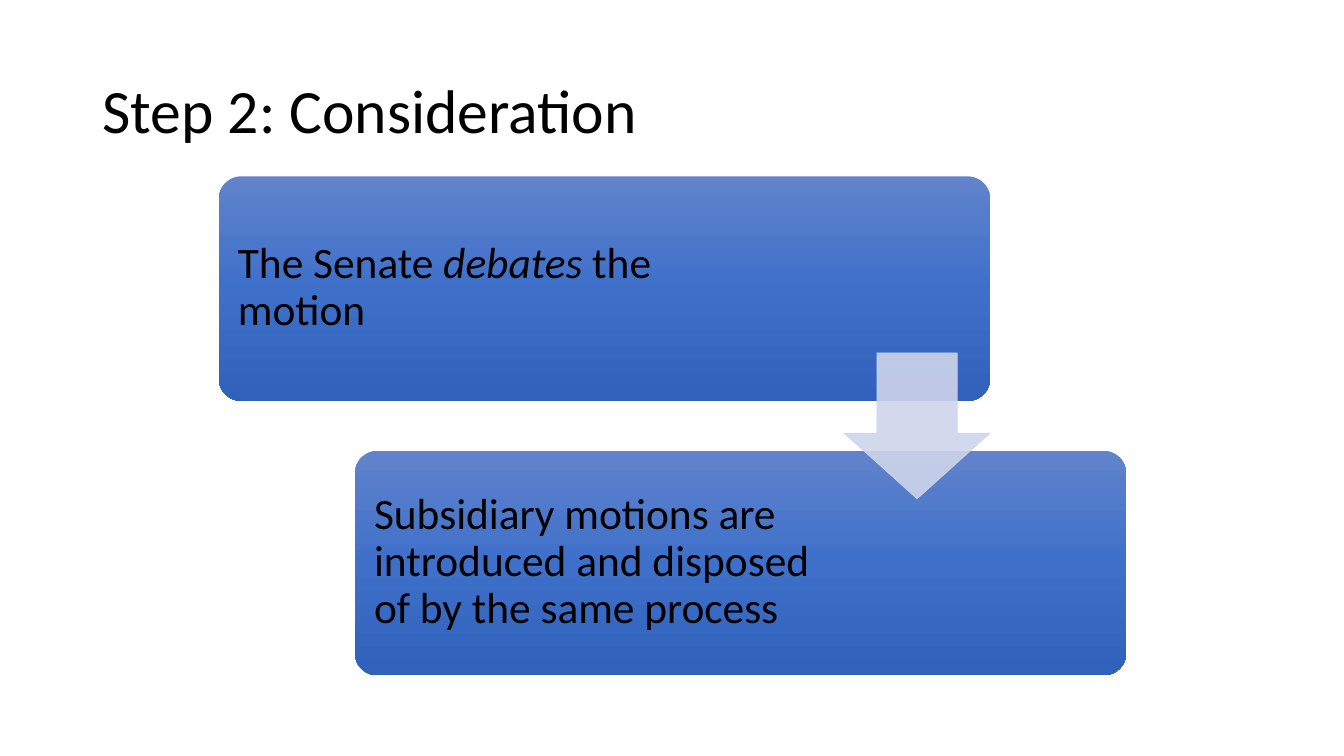
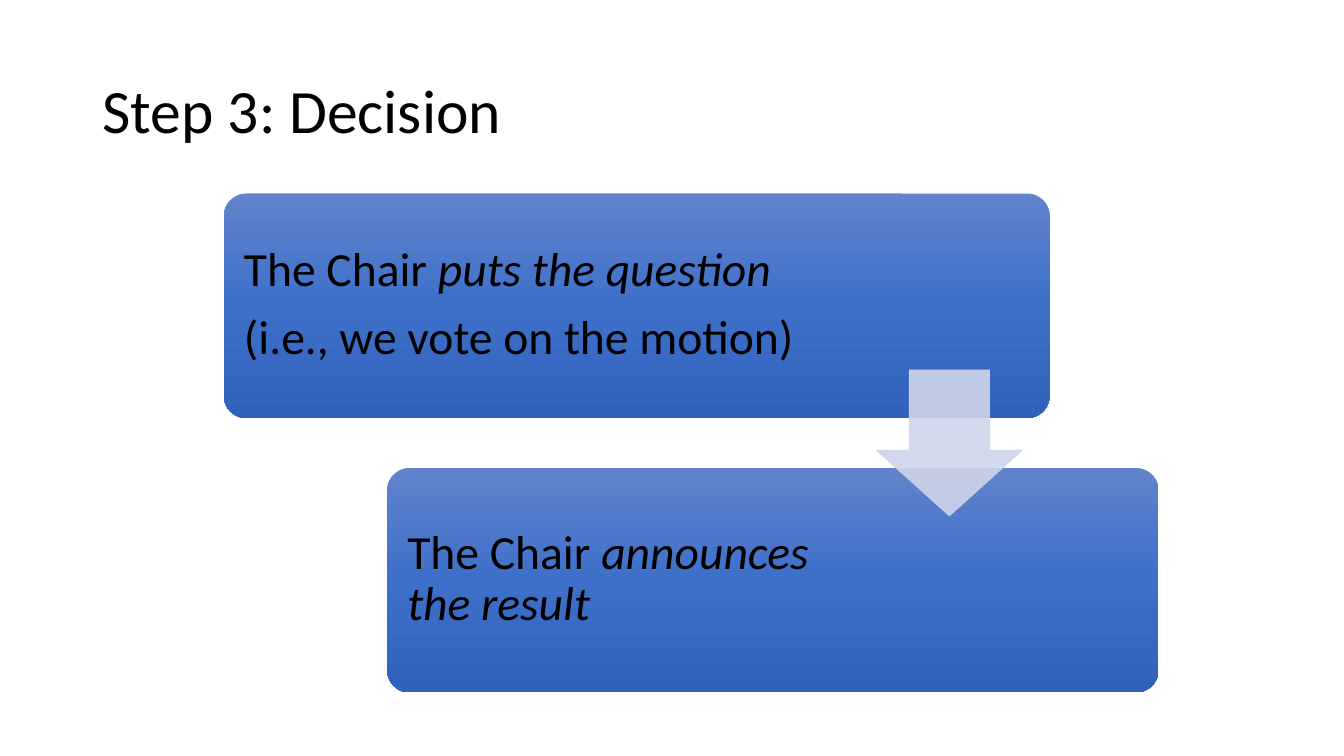
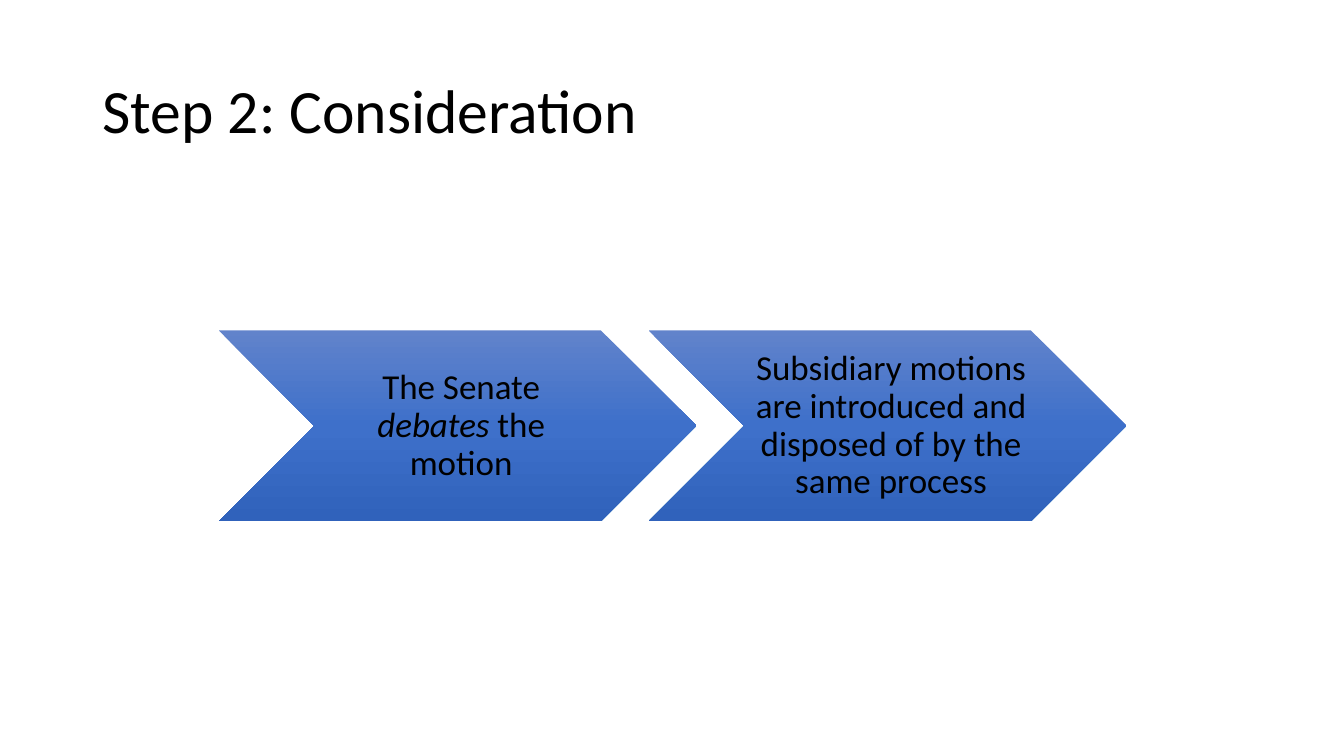
from copy import deepcopy
from dataclasses import dataclass

from pptx import Presentation
from pptx.dml.color import RGBColor
from pptx.enum.shapes import MSO_SHAPE
from pptx.enum.text import MSO_ANCHOR, PP_ALIGN
from pptx.oxml.ns import qn
from pptx.util import Inches, Pt

FONT = "Calibri"
BLACK = "000000"
ARROW_BLUE = "CFD5EA"
ARROW_ALPHA = "90000"
STEP_GRADIENT = [(0, "6183CB"), (0.5, "3E70CA"), (1, "3062BB")]
CHEVRON_INSETS = (0.11, 0.04, 0.04, 0.04)

DEBATE = [[("The Senate ", False), ("debates", True), (" the motion", False)]]
SUBSIDIARY = [[("Subsidiary motions are introduced and disposed of by the same process", False)]]
QUESTION = [
    [("The Chair ", False), ("puts the question", True)],
    [("(i.e., we vote on the motion)", False)],
]
RESULT = [[("The Chair ", False), ("announces the result", True)]]


@dataclass
class Box:
    left: float
    top: float
    width: float
    height: float

    def share(self, left, top, width, height):
        return Box(
            self.left + left * self.width,
            self.top + top * self.height,
            width * self.width,
            height * self.height,
        )

    def inches(self):
        return [Inches(value) for value in (self.left, self.top, self.width, self.height)]


TITLE_BOX = Box(0.92, 0.4, 11.5, 1.45)
CONSIDERATION_BOX = Box(2.17, 1.75, 9, 4.95)
DECISION_BOX = Box(2.49, 1.92, 9, 4.95)


def set_all(target, values):
    for name, value in values.items():
        setattr(target, name, value)


def colour(hex_string):
    return RGBColor.from_string(hex_string)


def add_text(page, box, paragraphs, size, insets, align=PP_ALIGN.LEFT, space_after=0.35):
    frame = page.shapes.add_textbox(*box.inches()).text_frame
    sides = ("margin_left", "margin_top", "margin_right", "margin_bottom")
    set_all(frame, {"word_wrap": True, "vertical_anchor": MSO_ANCHOR.MIDDLE})
    set_all(frame, {side: Inches(inset) for side, inset in zip(sides, insets)})
    para_format = {"alignment": align, "line_spacing": 0.9, "space_after": Pt(space_after * size)}
    for index, spans in enumerate(paragraphs):
        para = frame.add_paragraph() if index else frame.paragraphs[0]
        set_all(para, para_format)
        for text, italic in spans:
            span = para.add_run()
            span.text = text
            set_all(span.font, {"name": FONT, "size": Pt(size), "italic": italic})
            span.font.color.rgb = colour(BLACK)


def add_step_shape(page, kind, box):
    shape = page.shapes.add_shape(kind, *box.inches())
    shape.shadow.inherit = False
    shape.line.fill.background()
    shape.fill.gradient()
    shape.fill.gradient_angle = 270
    stop_list = shape._element.spPr.find(".//" + qn("a:gsLst"))
    stop_list.append(deepcopy(stop_list[0]))
    for stop, (position, hex_string) in zip(shape.fill.gradient_stops, STEP_GRADIENT):
        stop.position = position
        stop.color.rgb = colour(hex_string)
    return shape


def add_down_arrow(page, box):
    arrow = page.shapes.add_shape(MSO_SHAPE.DOWN_ARROW, *box.inches())
    arrow.shadow.inherit = False
    arrow.adjustments[0] = 0.55
    arrow.adjustments[1] = 0.45
    arrow.line.width = Pt(0.5)
    for fill in (arrow.fill, arrow.line.fill):
        fill.solid()
        fill.fore_color.rgb = colour(ARROW_BLUE)
    for tint in arrow._element.spPr.findall(".//" + qn("a:srgbClr")):
        tint.append(tint.makeelement(qn("a:alpha"), {"val": ARROW_ALPHA}))


def add_staircase(page, area, steps, size, inset, first_overhang=0):
    upper = area.share(-first_overhang, 0, 0.85 + 2 * first_overhang, 0.45)
    lower = area.share(0.15, 0.55, 0.85, 0.45)
    for box, text_share, paragraphs in zip((upper, lower), (0.7, 0.62), steps):
        step = add_step_shape(page, MSO_SHAPE.ROUNDED_RECTANGLE, box)
        step.adjustments[0] = 0.1
        text_box = Box(box.left + 0.06, box.top + 0.06, text_share * box.width, box.height - 0.13)
        add_text(page, text_box, paragraphs, size, [inset] * 4)
    side = 0.65 * upper.height
    arrow_left = area.left + 0.85 * area.width - side
    arrow_top = area.top + (area.height - side) / 2
    add_down_arrow(page, Box(arrow_left, arrow_top, side, side))


def add_chevrons(page, area, steps, size):
    width = area.width / (1 + 0.9 * (len(steps) - 1))
    height = 0.4 * width
    top = area.top + (area.height - height) / 2
    for index, paragraphs in enumerate(steps):
        box = Box(area.left + 0.9 * index * width, top, width, height)
        add_step_shape(page, MSO_SHAPE.CHEVRON, box)
        add_text(page, box.share(0.2, 0, 0.6, 1), paragraphs, size, CHEVRON_INSETS, PP_ALIGN.CENTER)


def add_page(deck, title):
    page = deck.slides.add_slide(deck.slide_layouts[6])
    add_text(page, TITLE_BOX, [[(title, False)]], 44, (0.1, 0.05, 0.1, 0.05), space_after=0)
    return page


def main():
    deck = Presentation()
    set_all(deck, {"slide_width": Inches(13.33), "slide_height": Inches(7.5)})

    page = add_page(deck, "Step 2: Consideration")
    add_staircase(page, CONSIDERATION_BOX, (DEBATE, SUBSIDIARY), 31, 0.13)

    page = add_page(deck, "Step 3: Decision")
    add_staircase(page, DECISION_BOX, (QUESTION, RESULT), 34, 0.14, first_overhang=0.03)

    page = add_page(deck, "Step 2: Consideration")
    add_chevrons(page, CONSIDERATION_BOX, (DEBATE, SUBSIDIARY), 25)

    deck.save("out.pptx")


if __name__ == "__main__":
    main()
